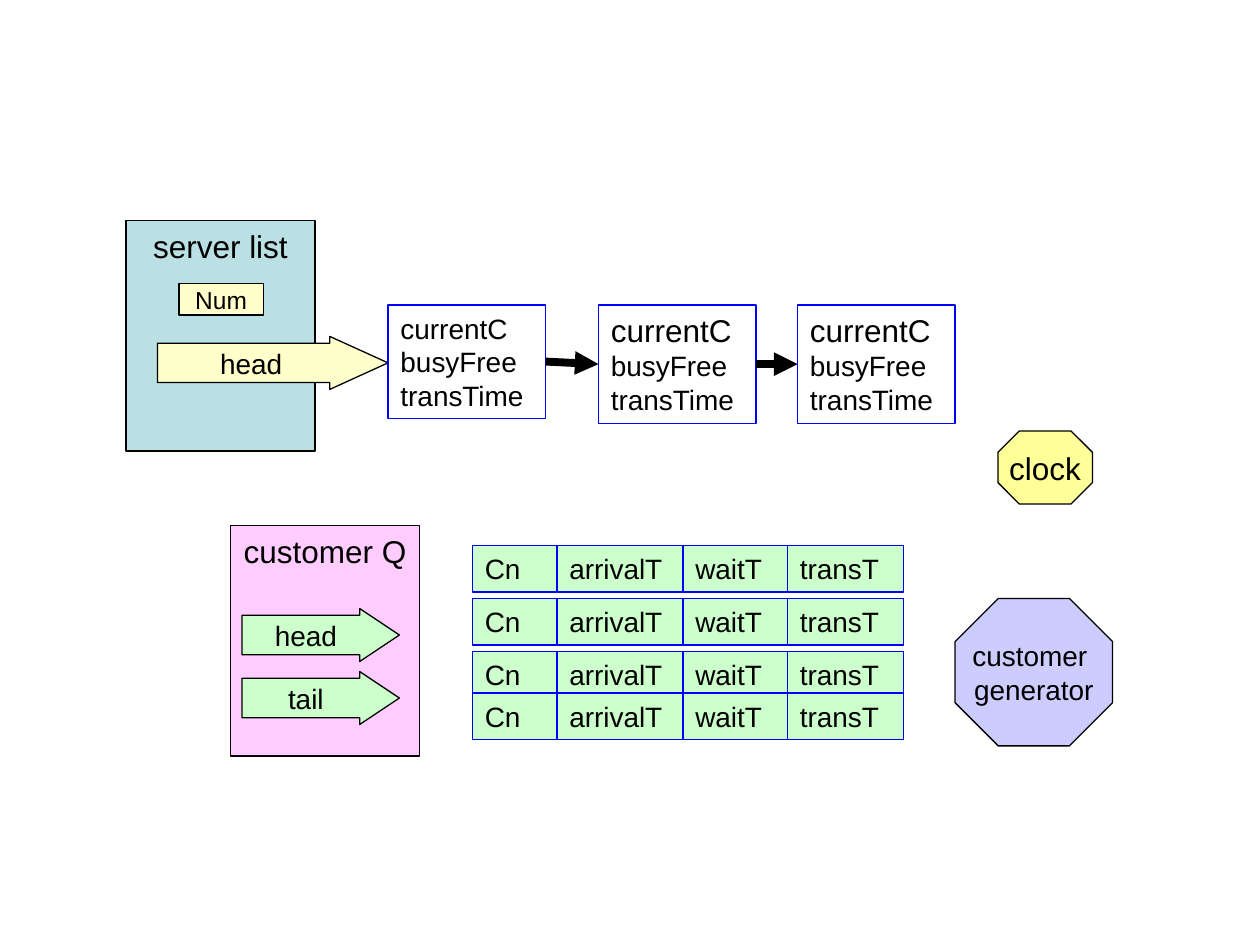
from lxml import etree
from pptx import Presentation
from pptx import util as u
from pptx.dml.color import RGBColor
from pptx.enum import shapes, text
from pptx.oxml import ns

HUES = {
    "ink": "000000", "blue": "0000FF", "teal": "BBE0E3", "cream": "FFFFCC",
    "mint": "CCFFCC", "pink": "FFCCFF", "gold": "FFFF99", "lilac": "CCCCFF",
}
FORM = shapes.MSO_SHAPE
FIELDS = [("Cn", 0.67), ("arrivalT", 1), ("waitT", 0.83), ("transT", 0.92)]


def hue(name):
    """Return the named colour."""
    return RGBColor.from_string(HUES[name])


def write(shape, words, size=16, first=None, mid=True, left=False):
    """Put one paragraph per line of words into a shape."""
    frame = shape.text_frame
    frame.word_wrap = left
    frame.vertical_anchor = text.MSO_ANCHOR.MIDDLE if mid else text.MSO_ANCHOR.TOP
    for i, line in enumerate(words.split("\n")):
        para = frame.add_paragraph() if i else frame.paragraphs[0]
        para.alignment = text.PP_ALIGN.LEFT if left else text.PP_ALIGN.CENTER
        run = para.add_run()
        run.text = line
        run.font.name = "Arial"
        run.font.size = u.Pt(first if first and i == 0 else size)
        run.font.color.rgb = hue("ink")


def block(parent, box, words, form=FORM.RECTANGLE, fill=None, line="ink", adj=(), **style):
    """Draw a labelled shape in a box of inches."""
    shape = parent.shapes.add_shape(form, *map(u.Inches, box))
    shape.shadow.inherit = False
    for i, part in enumerate(adj):
        shape.adjustments[i] = part
    if fill:
        shape.fill.solid()
        shape.fill.fore_color.rgb = hue(fill)
    else:
        shape.fill.background()
    shape.line.color.rgb = hue(line)
    shape.line.width = u.Pt(0.75)
    write(shape, words, **style)


def arrow(slide, start, end):
    """Draw a thick line with an arrowhead between two points."""
    link = slide.shapes.add_connector(
        shapes.MSO_CONNECTOR.STRAIGHT, *map(u.Inches, start + end))
    link.line.color.rgb = hue("ink")
    link.line.width = u.Pt(4.5)
    etree.SubElement(link.line._get_or_add_ln(), ns.qn("a:tailEnd"), type="triangle")
    etree.SubElement(link._element.spPr, ns.qn("a:effectLst"))


def servers(slide, x, y):
    """Draw the server list and its chain of nodes."""
    block(slide, (x, y, 1.5, 1.83), "server list", fill="teal", size=18, mid=False)
    block(slide, (x + 0.42, y + 0.5, 0.67, 0.25), "Num", fill="cream", size=14)
    block(slide, (x + 0.25, y + 0.92, 1.83, 0.42), "head", form=FORM.RIGHT_ARROW,
          fill="cream", adj=(0.745, 1.099))
    for step, high, first in [(2.08, 0.9, 16), (3.75, 0.94, 18), (5.33, 0.94, 18)]:
        block(slide, (x + step, y + 0.67, 1.25, high), "currentC\nbusyFree\ntransTime",
              line="blue", first=first, mid=False, left=True)
    arrow(slide, (x + 3.33, y + 1.12), (x + 3.75, y + 1.14))
    arrow(slide, (x + 5, y + 1.14), (x + 5.33, y + 1.14))


def queue(slide, x, y):
    """Draw the customer queue with its two pointers."""
    block(slide, (x, y, 1.5, 1.83), "customer Q", fill="pink", size=18, mid=False)
    for i, name in enumerate(("head", "tail")):
        block(slide, (x + 0.09, y + 0.66 + i * 0.5, 1.25, 0.42), name,
              form=FORM.RIGHT_ARROW, fill="mint", adj=(0.745, 0.75))


def record(slide, x, y):
    """Draw one customer record as a group of field cells."""
    group = slide.shapes.add_group_shape()
    for name, wide in FIELDS:
        block(group, (x, y, wide, 0.37), name, fill="mint", line="blue",
              mid=False, left=True)
        x += wide


def drivers(slide, x, y):
    """Draw the clock and the customer generator."""
    block(slide, (x + 0.34, y, 0.75, 0.58), "clock", form=FORM.OCTAGON,
          fill="gold", adj=(0.293,), size=18)
    block(slide, (x, y + 1.33, 1.25, 1.17), "customer \ngenerator", form=FORM.OCTAGON,
          fill="lilac", adj=(0.293,))


def main():
    """Build and save the slide."""
    deck = Presentation()
    deck.slide_width, deck.slide_height = u.Inches(10), u.Inches(7.5)
    slide = deck.slides.add_slide(deck.slide_layouts[6])
    servers(slide, 1, 1.75)
    for y in (4.33, 4.75, 5.17, 5.5):
        record(slide, 3.75, y)
    queue(slide, 1.83, 4.17)
    drivers(slide, 7.58, 3.42)
    deck.save("out.pptx")


if __name__ == "__main__":
    main()
